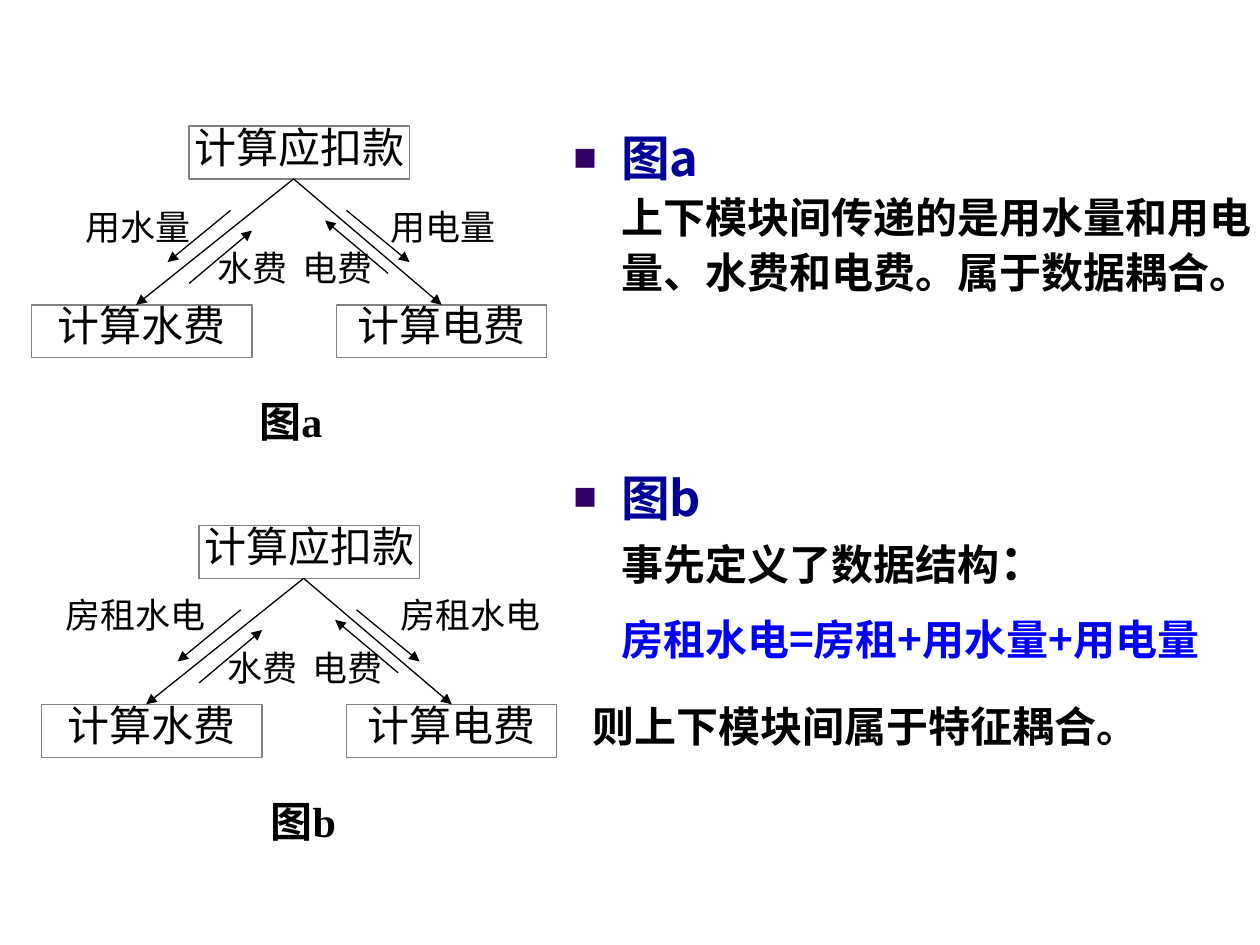
from lxml import etree
from pptx import Presentation
from pptx.dml.color import RGBColor
from pptx.enum.shapes import MSO_CONNECTOR, MSO_SHAPE
from pptx.enum.text import MSO_ANCHOR, MSO_AUTO_SIZE, PP_ALIGN
from pptx.oxml.ns import qn
from pptx.util import Inches, Pt

COLORS = {"text": "000000", "heading": "000099", "formula": "0000FF",
          "bullet": "330066", "border": "808080"}
CJK_FONT, LATIN_FONT = "Noto Sans CJK SC", "Times New Roman"

# Explanation: (bulleted, left margin, space before, runs of (text, size, colour))
EXPLANATION = [
    (True, 0.38, 0, [("图a\n", 27.8, "heading"),
                     ("上下模块间传递的是用水量和用电量、水费和电费。属于数据耦合。", 24, "text")]),
    (True, 0.38, 94, [("图b\n", 27.8, "heading"),
                      ("事先定义了数据结构", 24, "text"), ("：", 27.8, "text")]),
    (False, 0.38, 10.5, [("房租水电=房租+用水量+用电量", 24, "formula")]),
    (False, 0.15, 18, [("则上下模块间属于特征耦合。", 24, "text")]),
]

# Modules and arrows shared by both diagrams, in figure a's coordinates
PARENT = ("计算应扣款", 1.5, 1, 1.75)
WATER = ("计算水费", 0.25, 2.42, 1.75)
POWER = ("计算电费", 2.67, 2.42, 1.67)
MODULE_HEIGHT = 0.42
CALLS = [(2.33, 1.42, 1.08, 2.42), (2.33, 1.42, 3.5, 2.42)]
DATA_FLOWS = [(1.83, 1.67, 1.33, 2.08), (1.5, 2.25, 2, 1.83),
              (3.08, 2.17, 2.58, 1.75), (2.75, 1.67, 3.25, 2.08)]
RETURNS = [("水费", 1.63, 2, 1.03), ("电费", 2.3, 2, 0.95)]

# Each diagram: offset, caption and the data passed down (text, left, top, width)
DIAGRAMS = [
    {"offset": (0, 0), "caption": ("图a", 1.96, 3.2, 0.78),
     "passed": [("用水量", 0.58, 1.67, 1.05), ("用电量", 3, 1.67, 1.05)]},
    {"offset": (0.08, 3.17), "caption": ("图b", 1.97, 3.2, 0.8),
     "passed": [("房租水电", 0.34, 1.58, 1.33), ("房租水电", 3, 1.58, 1.33)]},
]


def rgb(name):
    return RGBColor.from_string(COLORS[name])


def add_run(paragraph, text, size, color, latin, bold):
    run = paragraph.add_run()
    run.text = text
    font = run.font
    font.size, font.bold, font.name = Pt(size), bold, latin
    font.color.rgb = rgb(color)
    east_asian = etree.Element(qn("a:ea"), typeface=CJK_FONT)
    font._element.find(qn("a:latin")).addnext(east_asian)


def set_bullet(paragraph, bulleted, margin):
    props = paragraph._p.get_or_add_pPr()
    props.set("marL", str(Inches(margin)))
    props.set("indent", str(-Inches(margin) if bulleted else 0))
    if not bulleted:
        etree.SubElement(props, qn("a:buNone"))
        return
    color = etree.SubElement(props, qn("a:buClr"))
    etree.SubElement(color, qn("a:srgbClr"), val=COLORS["bullet"])
    etree.SubElement(props, qn("a:buSzPct"), val="80000")
    etree.SubElement(props, qn("a:buFont"), typeface=LATIN_FONT)
    etree.SubElement(props, qn("a:buChar"), char="■")


def fill_explanation(body):
    body.left, body.top = Inches(4.45), Inches(0.92)
    body.width, body.height = Inches(5.55), Inches(6.25)
    frame = body.text_frame
    frame.word_wrap, frame.auto_size = True, MSO_AUTO_SIZE.NONE
    frame.vertical_anchor = MSO_ANCHOR.TOP
    frame.margin_right = Inches(0.04)
    for i, (bulleted, margin, before, runs) in enumerate(EXPLANATION):
        paragraph = frame.add_paragraph() if i else frame.paragraphs[0]
        set_bullet(paragraph, bulleted, margin)
        paragraph.line_spacing = 1.1
        paragraph.space_before = Pt(before)
        for text, size, color in runs:
            add_run(paragraph, text.rstrip("\n"), size, color, CJK_FONT, True)
            if text.endswith("\n"):
                paragraph.add_line_break()


def write_label(shape, text, size, wrap, align=PP_ALIGN.LEFT, bold=False):
    shape.text_frame.word_wrap = wrap
    paragraph = shape.text_frame.paragraphs[0]
    paragraph.alignment, paragraph.line_spacing = align, 0.7
    add_run(paragraph, text, size, "text", LATIN_FONT, bold)


def add_diagram(slide, offset, caption, passed):
    shapes = slide.shapes.add_group_shape().shapes
    dx, dy = offset

    def place(x, y):
        return Inches(x + dx), Inches(y + dy)

    def add_module(text, left, top, width):
        module = shapes.add_shape(MSO_SHAPE.RECTANGLE, *place(left, top),
                                  Inches(width), Inches(MODULE_HEIGHT))
        module.shadow.inherit = False
        module.fill.background()
        module.line.color.rgb, module.line.width = rgb("border"), Pt(0.75)
        module.text_frame.vertical_anchor = MSO_ANCHOR.MIDDLE
        write_label(module, text, 24, False, PP_ALIGN.CENTER)
        return module

    def add_arrow(x1, y1, x2, y2):
        arrow = shapes.add_connector(MSO_CONNECTOR.STRAIGHT, *place(x1, y1), *place(x2, y2))
        arrow.line.color.rgb, arrow.line.width = rgb("text"), Pt(0.75)
        etree.SubElement(arrow.line._get_or_add_ln(), qn("a:tailEnd"), type="triangle")
        etree.SubElement(arrow._element.spPr, qn("a:effectLst"))
        return arrow

    def add_label(text, left, top, width, height=0.34, size=20, wrap=True, bold=False):
        label = shapes.add_textbox(*place(left, top), Inches(width), Inches(height))
        write_label(label, text, size, wrap, bold=bold)

    # Modules
    add_module(*PARENT)
    add_module(*WATER)
    power = add_module(*POWER)

    # Calls and data flows
    add_arrow(*CALLS[0])
    add_arrow(*CALLS[1]).end_connect(power, 0)
    for flow in DATA_FLOWS:
        add_arrow(*flow)

    # Data names and caption
    for label in passed + RETURNS:
        add_label(*label)
    add_label(*caption, height=0.38, size=24, wrap=False, bold=True)


def main():
    prs = Presentation()
    prs.slide_width, prs.slide_height = Inches(10), Inches(7.5)
    slide = prs.slides.add_slide(prs.slide_layouts[1])
    title = slide.shapes.title._element
    title.getparent().remove(title)
    fill_explanation(slide.placeholders[1])
    for diagram in DIAGRAMS:
        add_diagram(slide, **diagram)
    prs.save("out.pptx")


if __name__ == "__main__":
    main()
